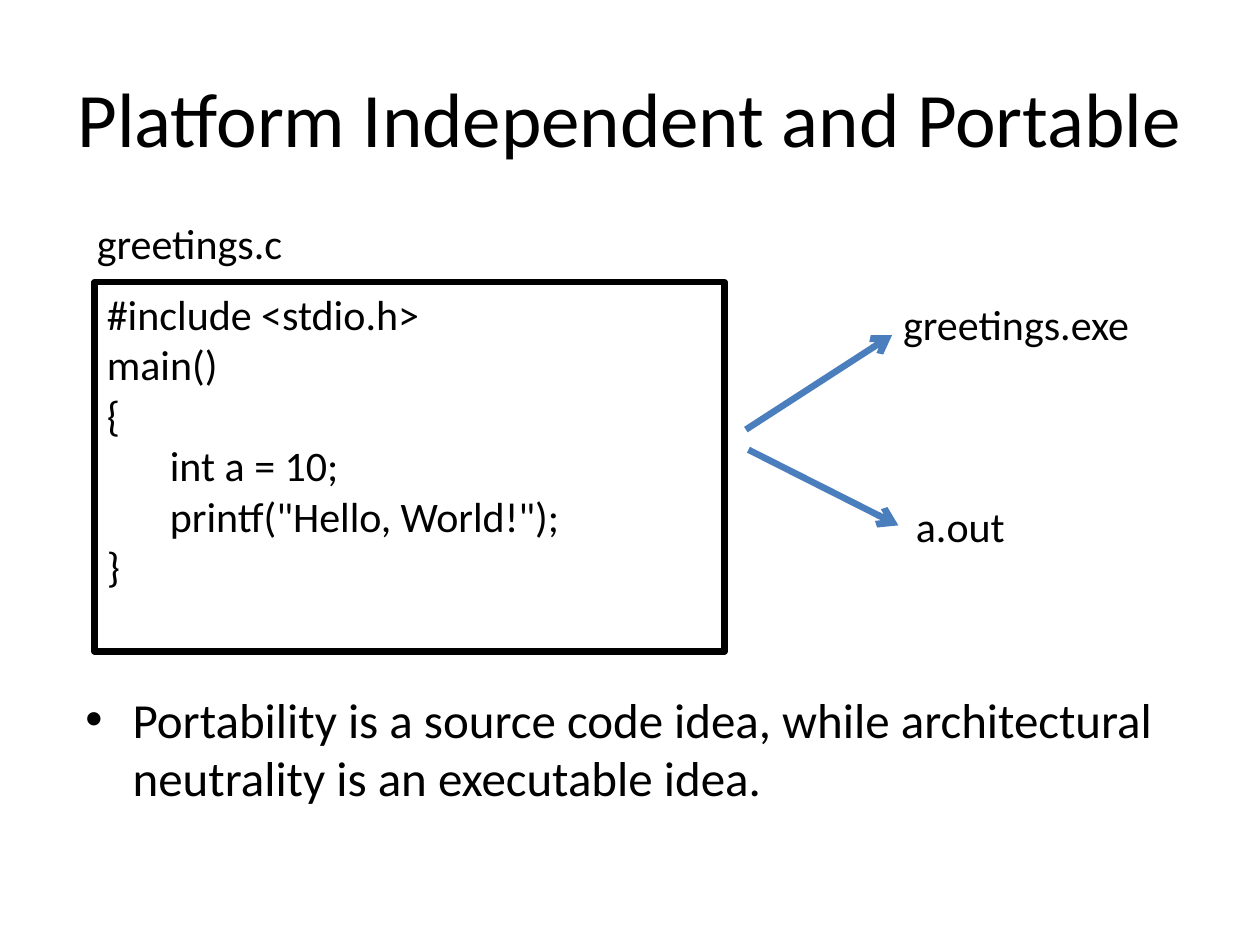
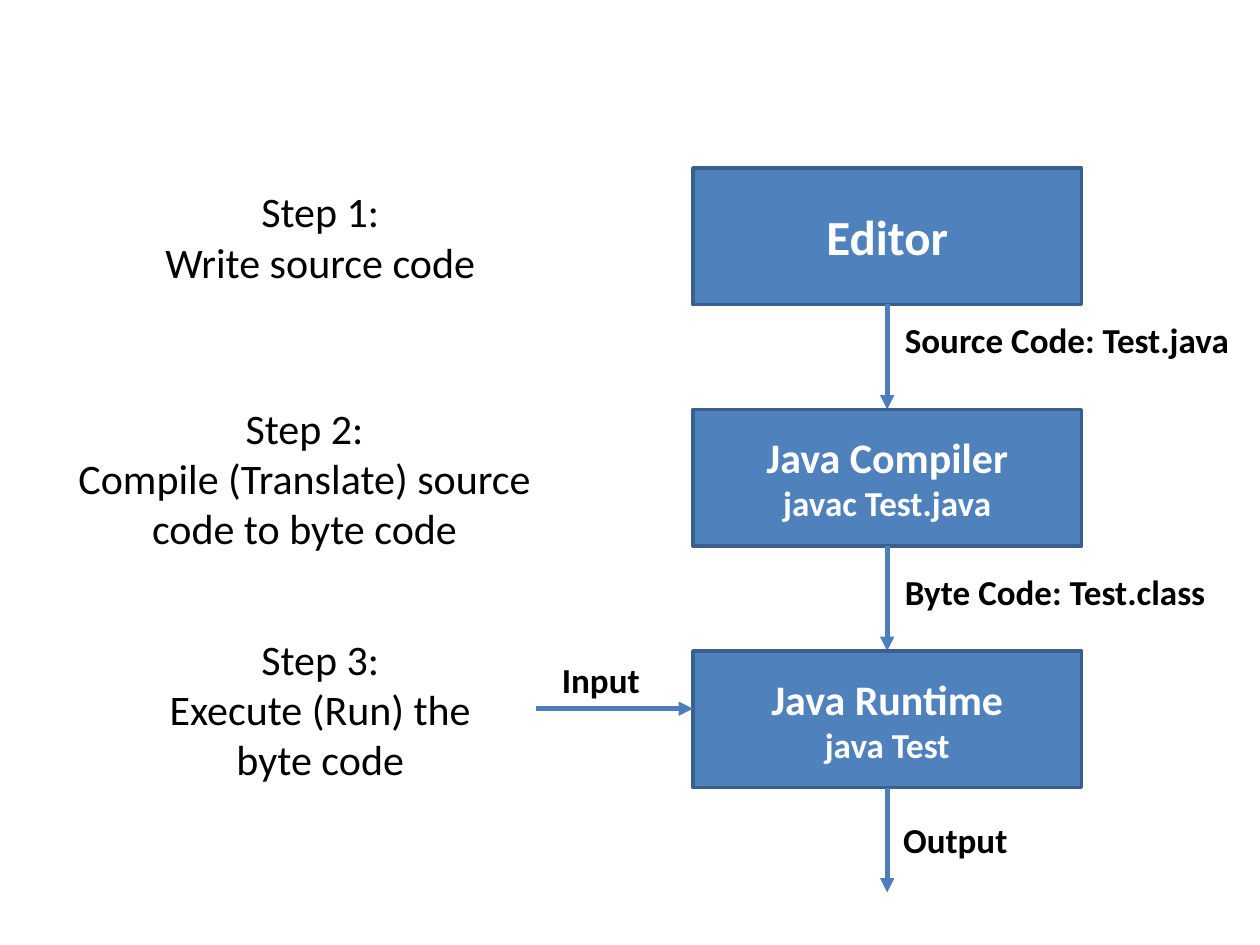
import pptx
import pptx.util
import pptx.dml.color
import pptx.enum.shapes
import pptx.enum.text
import pptx.oxml.ns
import lxml.etree

Pt = pptx.util.Pt
ALIGN = pptx.enum.text.PP_ALIGN
ANCHOR = pptx.enum.text.MSO_ANCHOR
RECTANGLE = pptx.enum.shapes.MSO_SHAPE.RECTANGLE
STRAIGHT = pptx.enum.shapes.MSO_CONNECTOR.STRAIGHT
qn = pptx.oxml.ns.qn

FONT = "Calibri"
BLACK, WHITE = "000000", "FFFFFF"
BOX_FILL, BOX_EDGE, ARROW = "4F81BD", "3A5F8C", "4B7EBC"


def write(shape, lines, color=BLACK, bold=False, align=ALIGN.LEFT,
          anchor=ANCHOR.TOP, wrap=True):
    """Fill a shape with (text, size) lines, one paragraph each."""
    frame = shape.text_frame
    frame.word_wrap = wrap
    frame.vertical_anchor = anchor
    for number, (text, size) in enumerate(lines):
        paragraph = frame.add_paragraph() if number else frame.paragraphs[0]
        paragraph.alignment = align
        run = paragraph.add_run()
        run.text = text
        run.font.name = FONT
        run.font.size = Pt(size)
        run.font.bold = bold
        run.font.color.rgb = pptx.dml.color.RGBColor.from_string(color)


def draw_arrow(slide, start, end, width, head):
    """Draw a shadowless straight arrow between two points."""
    arrow = slide.shapes.add_connector(
        STRAIGHT, *(Pt(value) for value in (*start, *end)))
    arrow.line.width = Pt(width)
    arrow.line.color.rgb = pptx.dml.color.RGBColor.from_string(ARROW)
    outline = arrow.line._get_or_add_ln()
    lxml.etree.SubElement(outline, qn("a:tailEnd"), type=head)
    lxml.etree.SubElement(outline.getparent(), qn("a:effectLst"))


deck = pptx.Presentation()
deck.slide_width, deck.slide_height = Pt(720), Pt(540)
blank = deck.slide_layouts[6]

# Slide 1: one source file, several executables
portable = deck.slides.add_slide(blank)

title = portable.shapes.add_textbox(Pt(36), Pt(21.6), Pt(648), Pt(90))
write(title, [("Platform Independent and Portable", 44)],
      align=ALIGN.CENTER, anchor=ANCHOR.MIDDLE)

idea = portable.shapes.add_textbox(Pt(41.76), Pt(390.24), Pt(648), Pt(101.5))
write(idea, [("Portability is a source code idea, while architectural "
              "neutrality is an executable idea.", 28)])
bullet = idea.text_frame.paragraphs[0]._p.get_or_add_pPr()
bullet.set("marL", str(Pt(27)))
bullet.set("indent", str(Pt(-27)))
lxml.etree.SubElement(bullet, qn("a:buFont"), typeface="Arial")
lxml.etree.SubElement(bullet, qn("a:buChar"), char="\u2022")

for start, end in [((426.24, 245.5), (509.76, 191.5)),
                   ((427.68, 257), (513.36, 300.24))]:
    draw_arrow(portable, start, end, 3.75, "arrow")

listing = portable.shapes.add_shape(
    RECTANGLE, Pt(54), Pt(161.28), Pt(360), Pt(211))
listing.shadow.inherit = False
listing.fill.background()
listing.line.width = Pt(3.75)
listing.line.color.rgb = pptx.dml.color.RGBColor.from_string(BLACK)
code = ["#include <stdio.h>", "main()", "{", "\tint a = 10;",
        "\tprintf(\"Hello, World!\");", "}"]
write(listing, [(line, 24) for line in code])

for name, left, top, width in [("greetings.exe", 509, 167, 145.5),
                               ("greetings.c", 48.24, 121, 121.7),
                               ("a.out", 516.24, 282.24, 65.5)]:
    file_name = portable.shapes.add_textbox(
        Pt(left), Pt(top), Pt(width), Pt(36))
    write(file_name, [(name, 24)], wrap=False)

# Slide 2: from editor to runtime
steps = deck.slides.add_slide(blank)
BOX_LEFT, BOX_TOP, BOX_WIDTH, BOX_HEIGHT = 396, 96, 222, 78
PITCH, GAP = 138, 60
MIDDLE = BOX_LEFT + BOX_WIDTH / 2

tools = [[("Editor", 28)],
         [("Java Compiler", 24), ("javac Test.java", 20)],
         [("Java Runtime", 24), ("java Test", 20)]]
for row, lines in enumerate(tools):
    top = BOX_TOP + row * PITCH
    tool = steps.shapes.add_shape(
        RECTANGLE, Pt(BOX_LEFT), Pt(top), Pt(BOX_WIDTH), Pt(BOX_HEIGHT))
    tool.shadow.inherit = False
    tool.fill.solid()
    tool.fill.fore_color.rgb = pptx.dml.color.RGBColor.from_string(BOX_FILL)
    tool.line.width = Pt(2)
    tool.line.color.rgb = pptx.dml.color.RGBColor.from_string(BOX_EDGE)
    write(tool, lines, WHITE, True, ALIGN.CENTER, ANCHOR.MIDDLE)
    bottom = top + BOX_HEIGHT
    draw_arrow(steps, (MIDDLE, bottom), (MIDDLE, bottom + GAP),
               2.75, "triangle")
draw_arrow(steps, (306, 405), (BOX_LEFT, 405), 2.75, "triangle")

for heading, task, left, top, width in [
        ("Step 1:", "Write source code", 72, 96, 222),
        ("Step 2:", "Compile (Translate) source code to byte code",
         36, 234, 276),
        ("Step 3:", "Execute (Run) the byte code", 72, 366, 222)]:
    step = steps.shapes.add_textbox(
        Pt(left), Pt(top), Pt(width), Pt(BOX_HEIGHT))
    write(step, [(heading, 24), (task, 24)],
          align=ALIGN.CENTER, anchor=ANCHOR.MIDDLE)

for data, left, top, width in [("Input", 314, 373, 60),
                               ("Output", 509, 464.4, 75),
                               ("Source Code: Test.java", 510, 178.5, 200),
                               ("Byte Code: Test.class", 510, 322.5, 186.5)]:
    flow = steps.shapes.add_textbox(Pt(left), Pt(top), Pt(width), Pt(31.5))
    write(flow, [(data, 20)], bold=True, wrap=False)

deck.save("out.pptx")
